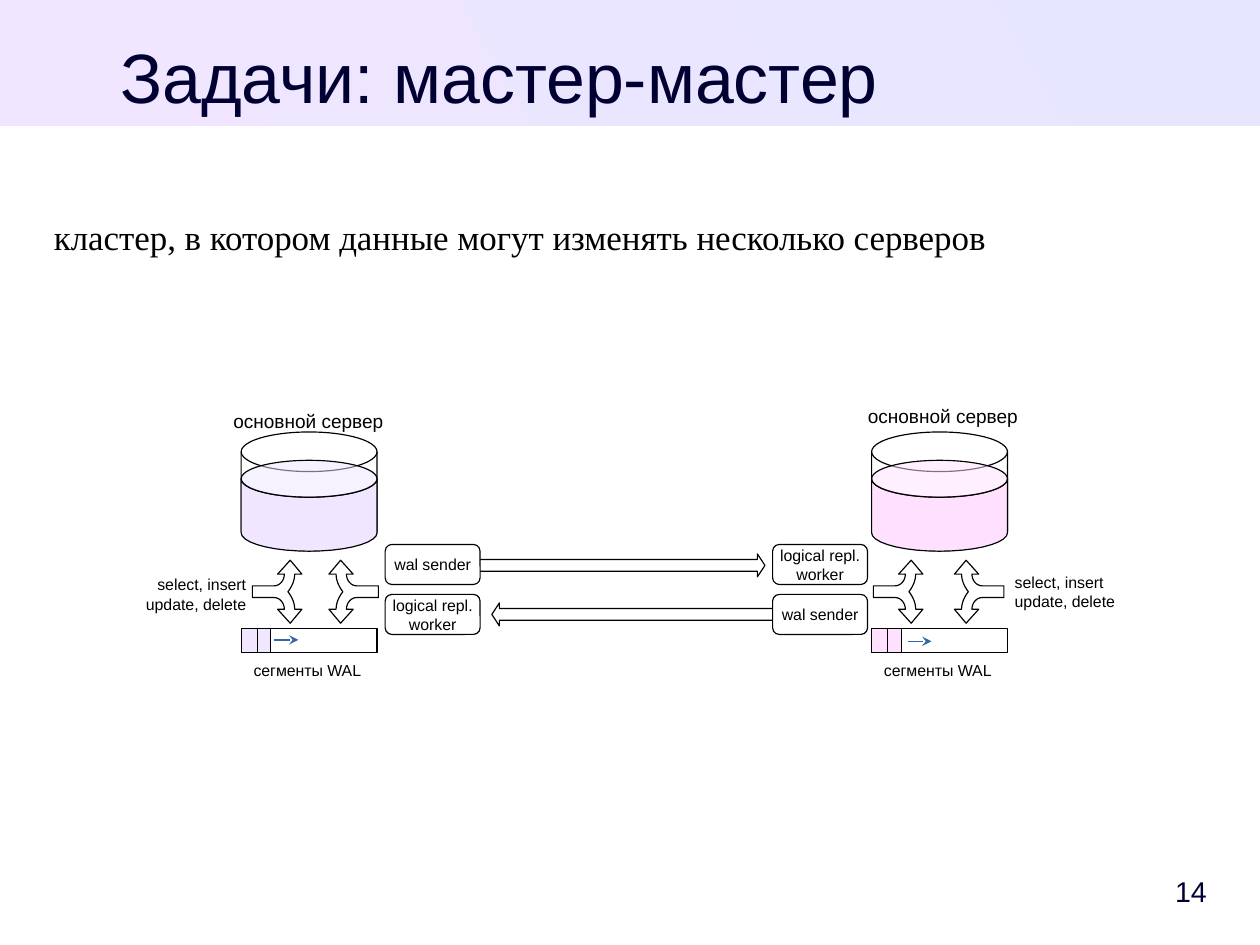
"""Builds the slide about master-master replication between two servers."""
import math

from lxml import etree
from pptx import Presentation, util as u
from pptx.dml.color import RGBColor
from pptx.enum import shapes, text
from pptx.oxml.ns import qn

Cm, rgb = u.Cm, RGBColor.from_string
kind, align, anchor = shapes.MSO_SHAPE, text.PP_ALIGN, text.MSO_ANCHOR


def outline(shape, fill=None, alpha=None):
    shape.shadow.inherit = False
    shape.line.color.rgb = rgb("000000")
    shape.line.width = 0
    if fill is None:
        shape.fill.background()
        return
    shape.fill.solid()
    shape.fill.fore_color.rgb = rgb(fill)
    if alpha:
        colour = shape.fill._xPr.find(".//" + qn("a:srgbClr"))
        etree.SubElement(colour, qn("a:alpha"), val=str(alpha * 1000))


def write(shape, lines, size, side, colour="000000", font="Arial",
          position=anchor.TOP, wrap=False, inset=(0.25, 0.13, 0.25, 0.13)):
    frame = shape.text_frame
    frame.auto_size = text.MSO_AUTO_SIZE.NONE
    frame.word_wrap = wrap
    frame.vertical_anchor = position
    (frame.margin_left, frame.margin_top,
     frame.margin_right, frame.margin_bottom) = map(Cm, inset)
    for number, line in enumerate(lines):
        paragraph = frame.add_paragraph() if number else frame.paragraphs[0]
        paragraph.alignment = side
        run = paragraph.add_run()
        run.text = line
        run.font.size = u.Pt(size)
        run.font.name = font
        run.font.color.rgb = rgb(colour)


deck = Presentation()
deck.slide_width, deck.slide_height = Cm(28), Cm(21)
slide = deck.slides.add_slide(deck.slide_layouts[5])
canvas = slide.shapes

header = canvas.add_shape(kind.RECTANGLE, 0, 0, Cm(28), Cm(2.8))
header.shadow.inherit = False
header.line.fill.background()
header.fill.gradient()
header.fill.gradient_angle = 210
for stop, colour in zip(header.fill.gradient_stops, ("E6E6FF", "F0E6FF")):
    stop.color.rgb = rgb(colour)
canvas._spTree.insert(2, header._element)

title = canvas.title
title.left, title.top, title.width, title.height = map(Cm, (1.2, 0.74, 19.8, 1.75))
write(title, ["Задачи: мастер-мастер"], 44, align.CENTER, "000033",
      wrap=True, inset=(0, 0, 0, 0))

definition = canvas.add_textbox(Cm(1.2), Cm(4.8), Cm(25.6), Cm(14.4))
write(definition, ["кластер, в котором данные могут изменять несколько серверов"],
      22, align.LEFT, font="Times New Roman", wrap=True, inset=(0, 0, 0, 0))

page_number = canvas.add_textbox(Cm(24.6), Cm(19.2), Cm(2.22), Cm(1.2))
write(page_number, ["14"], 18, align.RIGHT, "000033", position=anchor.MIDDLE,
      wrap=True, inset=(0.25, 0.13, 0, 0.13))

steps = [i / 8 for i in range(9)]
lower_branch = [(0, 0.13)]
lower_branch += [(0.48 + 0.23 * math.sin(t * math.pi / 2),
                  0.39 - 0.26 * math.cos(t * math.pi / 2)) for t in steps]
lower_branch += [(0.56, 0.39), (0.84, 0.7), (1.1, 0.39)]
lower_branch += [(0.79 + 0.15 * (1 - (1 - t) ** 2), 0.39 * t) for t in reversed(steps)]
fork = lower_branch + [(x, -y) for x, y in reversed(lower_branch)]

arcs = [math.radians(a) for a in range(0, 181, 10)]
servers = [
    (5.36, "F0E6FF", (4.8, 8.97), (3, 12.65), align.RIGHT, (5.61, 8.41), (6.1, 14.22)),
    (19.37, "FFE1FF", (18.9, 8.86), (22.3, 12.6), align.LEFT, (19.41, 22.31), (20.17, 14.25)),
]
for left, tint, name_at, queries_at, queries_side, fork_tails, progress_at in servers:
    disk = canvas.add_shape(kind.FLOWCHART_MAGNETIC_DISK, Cm(left), Cm(9.6), Cm(3.02), Cm(2.64))
    outline(disk, "FFFFFF")

    bottom, top = [[(Cm(left + 1.51 - 1.51 * math.cos(a)), Cm(level + 0.41 * math.sin(a)))
                    for a in arcs] for level in (11.84, 10.64)]
    pen = canvas.build_freeform(*top[0])
    pen.add_line_segments(bottom + top[::-1])
    outline(pen.convert_to_shape(), tint)
    surface = canvas.add_shape(kind.OVAL, Cm(left), Cm(10.23), Cm(3.02), Cm(0.82))
    outline(surface, tint, alpha=50)

    for offset, width, fill in ((0, 0.38, tint), (0.36, 0.3, tint), (0, 3.02, None)):
        segment = canvas.add_shape(kind.RECTANGLE, Cm(left + offset), Cm(13.97),
                                   Cm(width), Cm(0.53))
        outline(segment, fill)

    x, y = progress_at
    progress = canvas.add_connector(shapes.MSO_CONNECTOR.STRAIGHT,
                                    Cm(x), Cm(y), Cm(x + 0.53), Cm(y))
    progress.line.color.rgb = rgb("3465A4")
    progress.line.width = u.Pt(0.85)
    etree.SubElement(progress.line._get_or_add_ln(), qn("a:tailEnd"), type="stealth")
    etree.SubElement(progress._element.spPr, qn("a:effectLst"))

    for tail, direction in zip(fork_tails, (1, -1)):
        points = [(Cm(tail + direction * dx), Cm(13.15 + dy)) for dx, dy in fork]
        pen = canvas.build_freeform(*points[0])
        pen.add_line_segments(points[1:])
        outline(pen.convert_to_shape(), "FFFFFF")

    for (x, y), width, height, lines, size, side in (
        (name_at, 4.11, 1.2, ["основной сервер"], 12, align.CENTER),
        (queries_at, 2.72, 1.04, ["select, insert", "update, delete"], 10, queries_side),
        ((left + 0.02, 14.55), 2.9, 0.66, ["сегменты WAL"], 10, align.CENTER),
    ):
        label = canvas.add_textbox(Cm(x), Cm(y), Cm(width), Cm(height))
        write(label, lines, size, side)

for arrow, x, y, length in ((kind.LEFT_ARROW, 10.93, 13.4, 7.7),
                            (kind.RIGHT_ARROW, 8.95, 12.31, 8.05)):
    stream = canvas.add_shape(arrow, Cm(x), Cm(y), Cm(length), Cm(0.51))
    stream.adjustments[0], stream.adjustments[1] = 0.51, 0.33
    outline(stream, "FFFFFF")

sender, worker = ["wal sender"], ["logical repl.", "worker"]
for x, processes in ((8.56, (sender, worker)), (17.17, (worker, sender))):
    for y, lines in zip((12.1, 13.21), processes):
        process = canvas.add_shape(kind.ROUNDED_RECTANGLE, Cm(x), Cm(y), Cm(2.11), Cm(0.89))
        outline(process, "FFFFFF")
        write(process, lines, 10, align.CENTER, position=anchor.MIDDLE)

deck.save("out.pptx")
